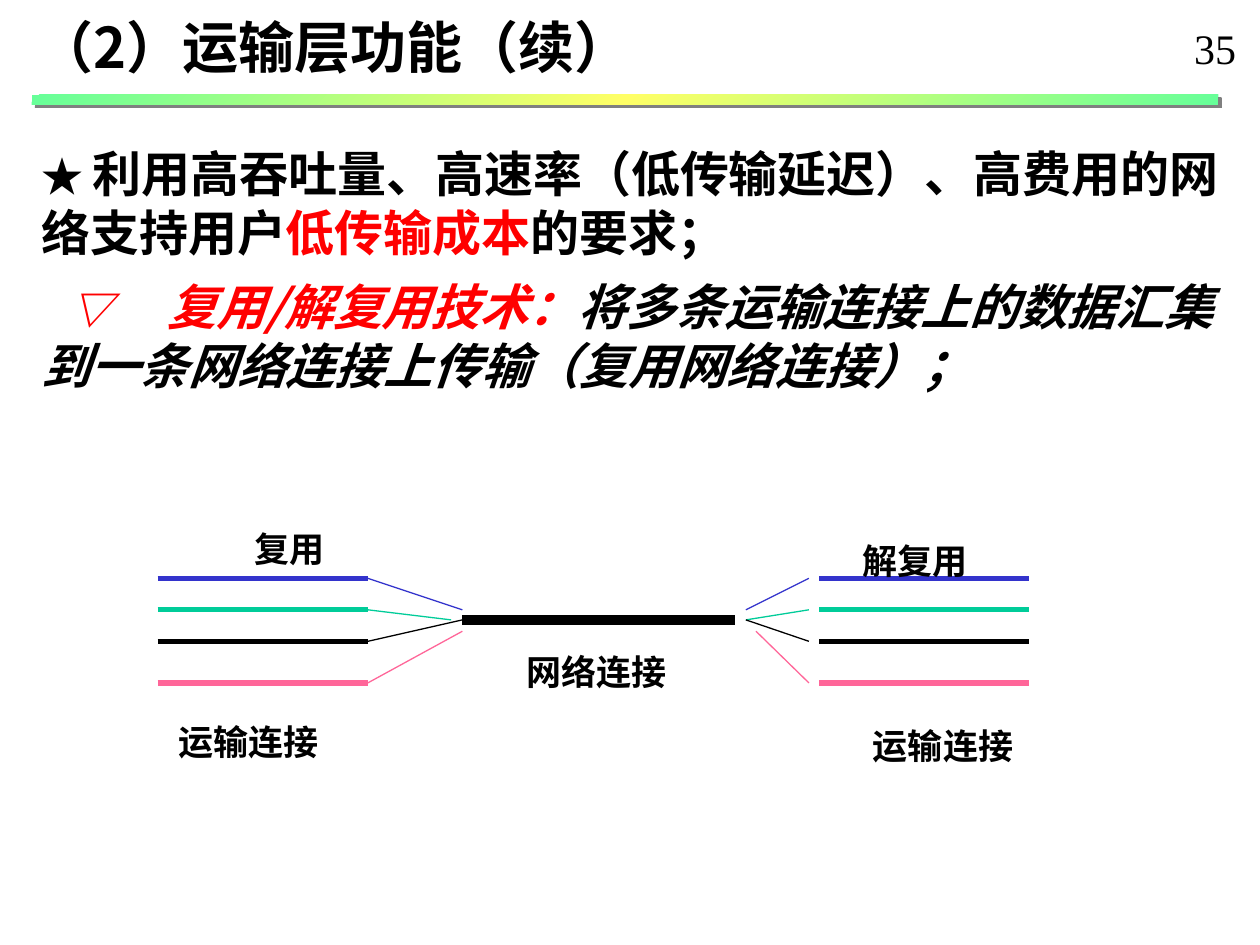
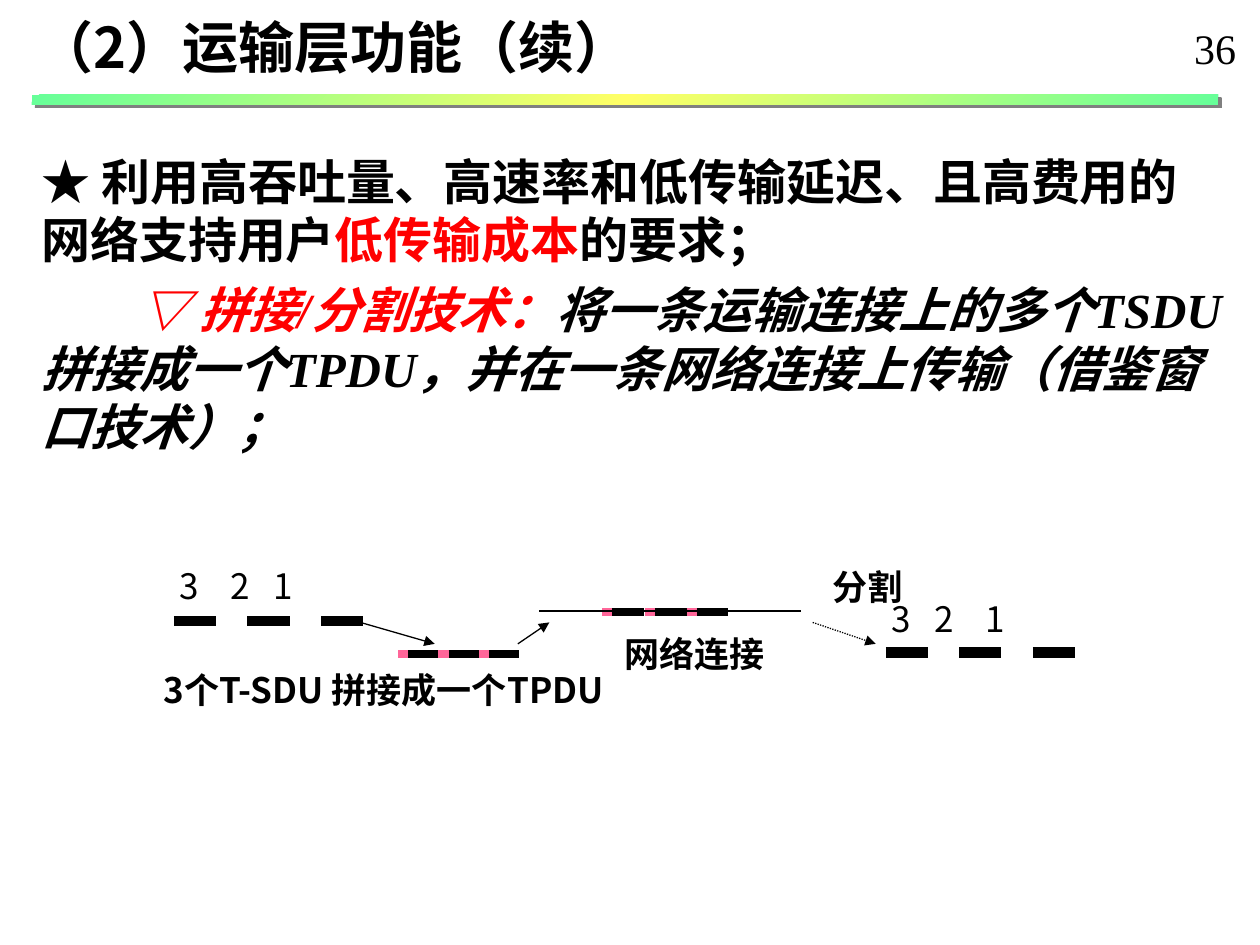
"""Build two slides on transport layer functions: multiplexing and concatenation."""
from dataclasses import dataclass

from lxml.etree import SubElement
from pptx import Presentation
from pptx.dml.color import RGBColor
from pptx.enum.dml import MSO_LINE as DASH
from pptx.enum.shapes import MSO_CONNECTOR as CONN, MSO_SHAPE as SHAPE
from pptx.oxml import parse_xml
from pptx.oxml.ns import nsdecls, qn
from pptx.util import Inches, Pt


@dataclass(frozen=True)
class Theme:
    black: str = "000000"
    red: str = "FF0000"
    blue: str = "3333CC"
    teal: str = "00CC99"
    pink: str = "FF6699"
    band_edge: str = "66FF99"
    band_mid: str = "FFFF66"
    shadow: str = "808080"
    sans: str = "Noto Sans CJK SC"
    serif: str = "Times New Roman"
    title: int = 32
    body: int = 28
    small: int = 24
    label: int = 20
    thin: float = 0.75
    medium: float = 3
    thick: float = 4.5
    heavy: float = 6


T = Theme()


def add_text(s, box, paras, wrap=False):
    sp = s.shapes.add_textbox(*map(Inches, box))
    tf = sp.text_frame
    tf.word_wrap = wrap
    for i, (before, after, indent, tab, runs) in enumerate(paras):
        p = tf.paragraphs[0] if i == 0 else tf.add_paragraph()
        ppr = p._p.get_or_add_pPr()
        if indent:
            ppr.set("marL", "0")
            ppr.set("indent", str(Inches(indent)))
        if tab:
            tabs = SubElement(ppr, qn("a:tabLst"))
            SubElement(tabs, qn("a:tab"), pos=str(Inches(tab)), algn="l")
        p.space_before, p.space_after = Pt(before), Pt(after)
        for text, size, font, color, bold, italic in runs:
            r = p.add_run()
            r.text = text
            r.font.size, r.font.name = Pt(size), font
            r.font.bold, r.font.italic = bold, italic
            r.font.color.rgb = RGBColor.from_string(color)
            SubElement(r._r.get_or_add_rPr(), qn("a:ea"), typeface=T.sans)


def add_line(s, x1, y1, x2, y2, color=T.black, width=T.thin, dash=None, arrow=False):
    c = s.shapes.add_connector(CONN.STRAIGHT, *map(Inches, (x1, y1, x2, y2)))
    c.line.color.rgb = RGBColor.from_string(color)
    c.line.width = Pt(width)
    if dash:
        c.line.dash_style = dash
    if arrow:
        SubElement(c.line._get_or_add_ln(), qn("a:tailEnd"), type="triangle")
    SubElement(c._element.spPr, qn("a:effectLst"))


prs = Presentation()
prs.slide_width, prs.slide_height = Inches(10), Inches(7.5)
slides = []

for number in ("35", "36"):
    s = prs.slides.add_slide(prs.slide_layouts[6])
    slides.append(s)
    add_text(s, (9.38, 0.13, 0.54, 0.5),
             [(0, 0, 0, 0, [(number, T.small, T.serif, T.black, False, False)])])
    add_text(s, (0.2, 0.05, 6.2, 0.63),
             [(0, 3, 0, 0, [("（2）运输层功能（续）", T.title, T.sans, T.black, True, False)])], True)
    band = s.shapes.add_shape(SHAPE.RECTANGLE, *map(Inches, (0.25, 0.75, 9.42, 0.08)))
    band.line.fill.background()
    band.shadow.inherit = False
    sppr = band._element.spPr
    stops = "".join(f'<a:gs pos="{pos}"><a:srgbClr val="{color}"/></a:gs>' for pos, color in
                    ((0, T.band_edge), (50000, T.band_mid), (100000, T.band_edge)))
    sppr.insert(2, parse_xml(f'<a:gradFill {nsdecls("a")}><a:gsLst>{stops}</a:gsLst>'
                             '<a:lin ang="2700000" scaled="1"/></a:gradFill>'))
    shadow = SubElement(sppr.find(qn("a:effectLst")), qn("a:outerShdw"), dist=str(Pt(2.8)),
                        dir="2700000", algn="ctr", rotWithShape="0")
    SubElement(shadow, qn("a:srgbClr"), val=T.shadow)

mux, concat = slides

add_text(mux, (0.23, 1.09, 9.6, 2.1), [
    (0, 3, 0, 0, [
        ("★ ", T.small, T.sans, T.black, True, False),
        ("利用高吞吐量、高速率（低传输延迟）、高费用的网络支持用户", T.body, T.sans, T.black, True, False),
        ("低传输成本", T.body, T.sans, T.red, True, False),
        ("的要求；", T.body, T.sans, T.black, True, False)]),
    (6, 0, 0.22, 0.75, [
        ("▽\t", T.small, T.serif, T.red, True, True),
        ("复用/解复用技术：", T.body, T.sans, T.red, True, True),
        ("将多条运输连接上的数据汇集到一条网络连接上传输（复用网络连接）；",
         T.body, T.sans, T.black, True, True)]),
], True)

channels = (
    (T.blue, 4.59, (3.67, 4.84), (5.92, 4.84)),
    (T.teal, 4.84, (3.58, 4.92), (5.92, 4.92)),
    (T.black, 5.09, (3.67, 4.92), (5.92, 4.92)),
    (T.pink, 5.42, (3.67, 5.01), (6, 5.01)),
)
for color, y, merge, split in channels:
    for x in (1.25, 6.5):
        add_line(mux, x, y, x + 1.67, y, color, T.medium)
    add_line(mux, 2.92, y, *merge, color)
    add_line(mux, *split, 6.42, y, color)
add_line(mux, 3.67, 4.92, 5.83, 4.92, width=T.heavy)

add_text(concat, (0.23, 1.15, 9.6, 2.52), [
    (0, 3, 0, 0, [
        ("★ 利用高吞吐量、高速率和低传输延迟、且高费用的网络支持用户",
         T.body, T.sans, T.black, True, False),
        ("低传输成本", T.body, T.sans, T.red, True, False),
        ("的要求；", T.body, T.sans, T.black, True, False)]),
    (3, 3, 0.78, 0, [
        ("▽ 拼接/分割技术：", T.body, T.serif, T.red, True, True),
        ("将一条运输连接上的多个TSDU拼接成一个TPDU，并在一条网络连接上传输（借鉴窗口技术）；",
         T.body, T.serif, T.black, True, True)]),
], True)

for y, length, starts in ((4.86, 0.25, (4.86, 5.2, 5.53)), (5.19, 0.24, (3.24, 3.56, 3.88))):
    for x in starts:
        add_line(concat, x - 0.08, y, x, y, T.pink, T.thick)
        add_line(concat, x, y, x + length, y, width=T.thick)
for x, y, length in ((1.38, 4.93, 1.73), (7.03, 5.18, 1.75)):
    add_line(concat, x, y, x + length, y, width=T.heavy, dash=DASH.DASH)
add_line(concat, 4.28, 4.85, 6.36, 4.85)
add_line(concat, 2.86, 4.94, 3.45, 5.11, arrow=True)
add_line(concat, 4.11, 5.11, 4.36, 4.94, arrow=True)
add_line(concat, 6.45, 4.94, 6.95, 5.11, dash=DASH.ROUND_DOT, arrow=True)

labels = (
    (mux, "运输连接", 1.32, 5.67, 1.32, True),
    (mux, "运输连接", 6.83, 5.7, 1.32, True),
    (mux, "网络连接", 4.08, 5.11, 1.32, True),
    (mux, "复用", 1.92, 4.14, 0.76, True),
    (mux, "解复用", 6.75, 4.23, 1.04, True),
    (concat, "3个T-SDU 拼接成一个TPDU", 1.2, 5.26, 3.99, True),
    (concat, "网络连接", 4.86, 4.97, 1.32, True),
    (concat, "分割", 6.51, 4.44, 0.76, True),
    (concat, "3", 1.33, 4.43, 0.36, False),
    (concat, "2", 1.73, 4.43, 0.36, False),
    (concat, "1", 2.07, 4.43, 0.36, False),
    (concat, "3", 6.98, 4.69, 0.36, False),
    (concat, "2", 7.32, 4.69, 0.36, False),
    (concat, "1", 7.72, 4.69, 0.36, False),
)
for s, text, x, y, width, bold in labels:
    add_text(s, (x, y, width, 0.43),
             [(0, 0, 0, 0, [(text, T.label, T.sans, T.black, bold, False)])])

prs.save("out.pptx")
